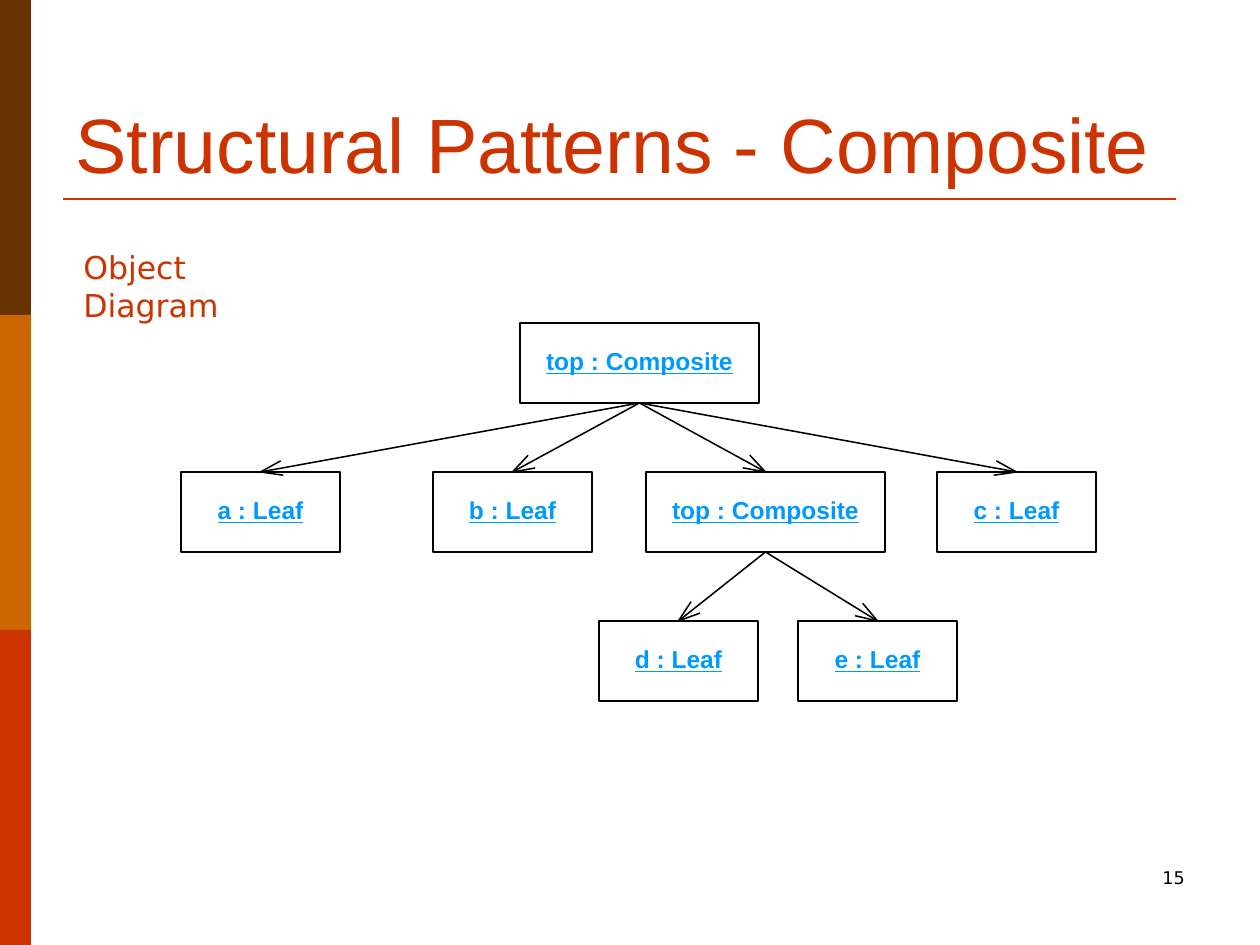
import math

import pptx
import pptx.dml.color
import pptx.enum.shapes
import pptx.enum.text
import pptx.oxml.ns
import pptx.util
from lxml import etree

RGBColor = pptx.dml.color.RGBColor
MSO_SHAPE = pptx.enum.shapes.MSO_SHAPE
PP_ALIGN = pptx.enum.text.PP_ALIGN
MSO_ANCHOR = pptx.enum.text.MSO_ANCHOR

BROWN = RGBColor(0x66, 0x33, 0x00)
ORANGE = RGBColor(0xCC, 0x66, 0x00)
RED = RGBColor(0xCC, 0x33, 0x00)
BLUE = RGBColor(0x00, 0x99, 0xFF)
BLACK = RGBColor(0x00, 0x00, 0x00)
WHITE = RGBColor(0xFF, 0xFF, 0xFF)

PX_PER_INCH = 126
SLIDE_BOX = (0, 0, 1260, 945)
TITLE_FORMAT = {"name": "Arial", "size": pptx.util.Pt(44)}
CAPTION_FORMAT = {"name": "DejaVu Sans", "size": pptx.util.Pt(18)}
NUMBER_FORMAT = {"name": "DejaVu Sans", "size": pptx.util.Pt(10)}
NODE_FORMAT = {"name": "Arial", "size": pptx.util.Pt(14), "bold": True, "underline": True}

COMPOSITE_WIDTH, LEAF_WIDTH, NODE_HEIGHT = 239, 159, 80
LEVEL_STEP = 149
LINE_WIDTH = 0.88
WING_LENGTH, WING_ANGLE = 23, math.radians(18.5)

# key: label, width, left within the diagram, level
NODES = {
    "root": ("top : Composite", COMPOSITE_WIDTH, 339, 0),
    "a": ("a : Leaf", LEAF_WIDTH, 0, 1),
    "b": ("b : Leaf", LEAF_WIDTH, 252, 1),
    "child": ("top : Composite", COMPOSITE_WIDTH, 465, 1),
    "c": ("c : Leaf", LEAF_WIDTH, 756, 1),
    "d": ("d : Leaf", LEAF_WIDTH, 418, 2),
    "e": ("e : Leaf", LEAF_WIDTH, 617, 2),
}
CHILDREN = {"root": ["a", "b", "child", "c"], "child": ["d", "e"]}


def px(value):
    return pptx.util.Emu(round(value * 914400 / PX_PER_INCH))


def place(shape, left, top, width, height):
    shape.left, shape.top, shape.width, shape.height = map(px, (left, top, width, height))


def write(shape, text, font_format, color, alignment=PP_ALIGN.LEFT, anchor=MSO_ANCHOR.TOP):
    frame = shape.text_frame
    frame.word_wrap = True
    frame.vertical_anchor = anchor
    paragraph = frame.paragraphs[0]
    paragraph.alignment = alignment
    run = paragraph.add_run()
    run.text = text
    for name, value in font_format.items():
        setattr(run.font, name, value)
    run.font.color.rgb = color


def set_line(shape, color, width):
    shape.line.color.rgb = color
    shape.line.width = pptx.util.Pt(width)


def add_rectangle(slide, box, fill):
    shape = slide.shapes.add_shape(MSO_SHAPE.RECTANGLE, *map(px, box))
    shape.shadow.inherit = False
    shape.fill.solid()
    shape.fill.fore_color.rgb = fill
    return shape


def add_line(slide, start, end, color, width):
    connector = slide.shapes.add_connector(
        pptx.enum.shapes.MSO_CONNECTOR.STRAIGHT, *map(px, (*start, *end)))
    set_line(connector, color, width)
    properties = connector._element.spPr
    etree.SubElement(properties, pptx.oxml.ns.qn("a:effectLst"))
    return connector


def add_side_bars(slide, box):
    left, top, width, height = box
    bar_height = height / 3
    for index, color in enumerate((BROWN, ORANGE, RED)):
        bar = add_rectangle(slide, (left, top + index * bar_height, width, bar_height), color)
        bar.line.fill.background()


def add_heading(slide, box):
    left, top, width, height = box
    title = slide.shapes.title
    place(title, *box)
    title.text_frame.auto_size = pptx.enum.text.MSO_AUTO_SIZE.NONE
    write(title, "Structural Patterns - Composite", TITLE_FORMAT, RED, anchor=MSO_ANCHOR.BOTTOM)
    rule_y = top + height + 4
    add_line(slide, (left, rule_y), (left + width - 21, rule_y), RED, 1.5)


def add_text(slide, box, *text_settings):
    write(slide.shapes.add_textbox(*map(px, box)), *text_settings)


def add_open_arrowhead(slide, start, tip):
    """Draw two wings at the tip, spread evenly around the line back to start."""
    back = math.atan2(start[1] - tip[1], start[0] - tip[0])
    first, last = (
        (px(tip[0] + WING_LENGTH * math.cos(back + turn)),
         px(tip[1] + WING_LENGTH * math.sin(back + turn)))
        for turn in (WING_ANGLE, -WING_ANGLE))
    builder = slide.shapes.build_freeform(*first)
    builder.add_line_segments([tuple(map(px, tip)), last], close=False)
    arrowhead = builder.convert_to_shape()
    arrowhead.shadow.inherit = False
    arrowhead.fill.background()
    set_line(arrowhead, BLACK, LINE_WIDTH)


def add_object_diagram(slide, left, top):
    shapes, boxes = {}, {}
    for key, (label, width, offset, level) in NODES.items():
        boxes[key] = (left + offset, top + level * LEVEL_STEP, width, NODE_HEIGHT)
        shape = add_rectangle(slide, boxes[key], WHITE)
        set_line(shape, BLACK, LINE_WIDTH)
        frame = shape.text_frame
        frame.margin_left = frame.margin_right = frame.margin_top = 0
        frame.margin_bottom = px(4)
        write(shape, label, NODE_FORMAT, BLUE, PP_ALIGN.CENTER, MSO_ANCHOR.MIDDLE)
        shapes[key] = shape

    for parent, children in CHILDREN.items():
        x, y, width, height = boxes[parent]
        start = (x + width / 2, y + height)
        for child in children:
            x, y, width, height = boxes[child]
            tip = (x + width / 2, y)
            connector = add_line(slide, start, tip, BLACK, LINE_WIDTH)
            connector.begin_connect(shapes[parent], 2)
            connector.end_connect(shapes[child], 0)
            add_open_arrowhead(slide, start, tip)


def main():
    presentation = pptx.Presentation()
    presentation.slide_width, presentation.slide_height = map(px, SLIDE_BOX[2:])
    slide = presentation.slides.add_slide(presentation.slide_layouts.get_by_name("Title Only"))
    add_side_bars(slide, (0, 0, 31, SLIDE_BOX[3]))
    add_heading(slide, (63, 38, 1134, 157))
    add_text(slide, (71, 242, 258, 50), "Object Diagram", CAPTION_FORMAT, RED)
    add_object_diagram(slide, 181, 323)
    add_text(slide, (903, 861, 294, 63), "15", NUMBER_FORMAT, BLACK, PP_ALIGN.RIGHT)
    presentation.save("out.pptx")


if __name__ == "__main__":
    main()
